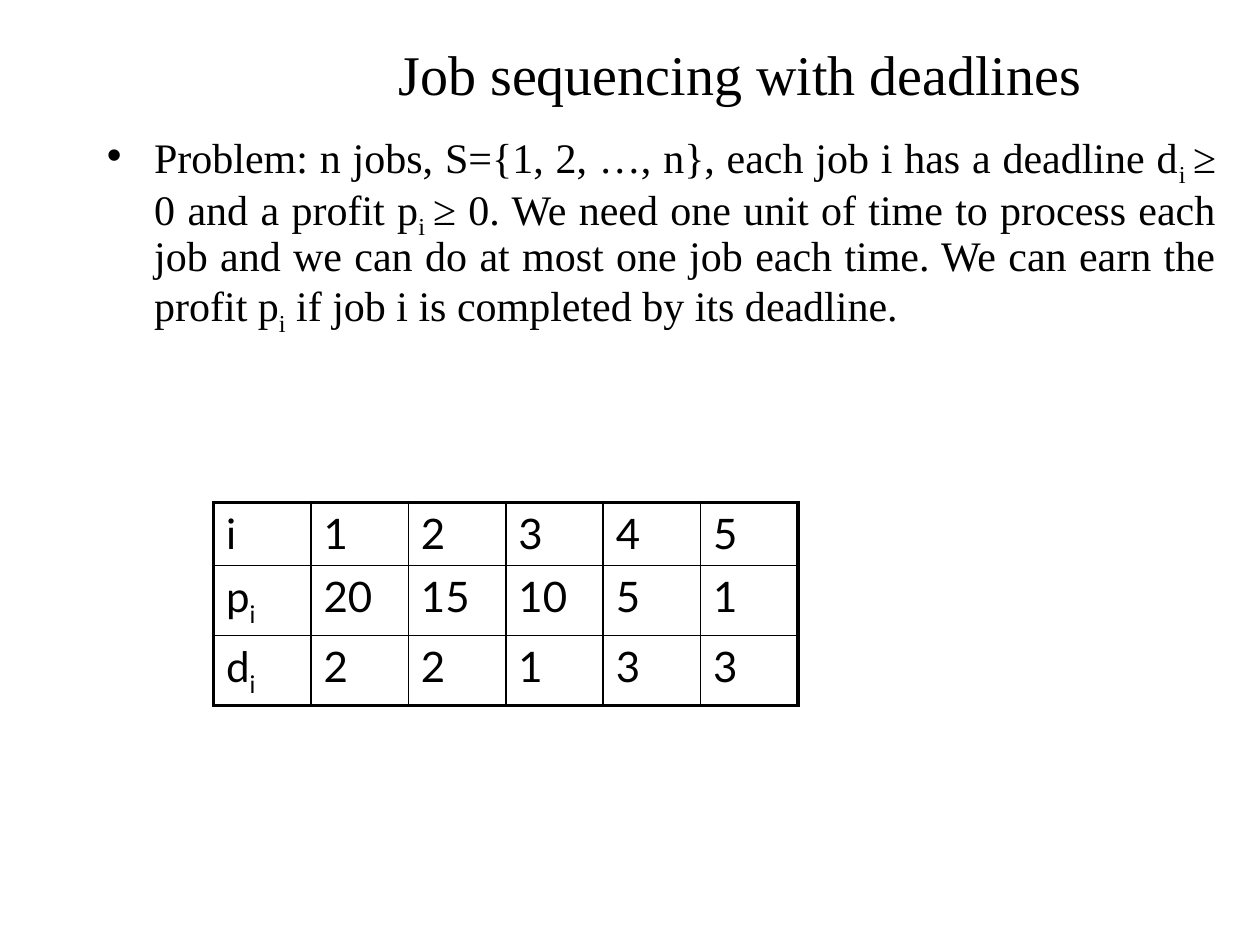
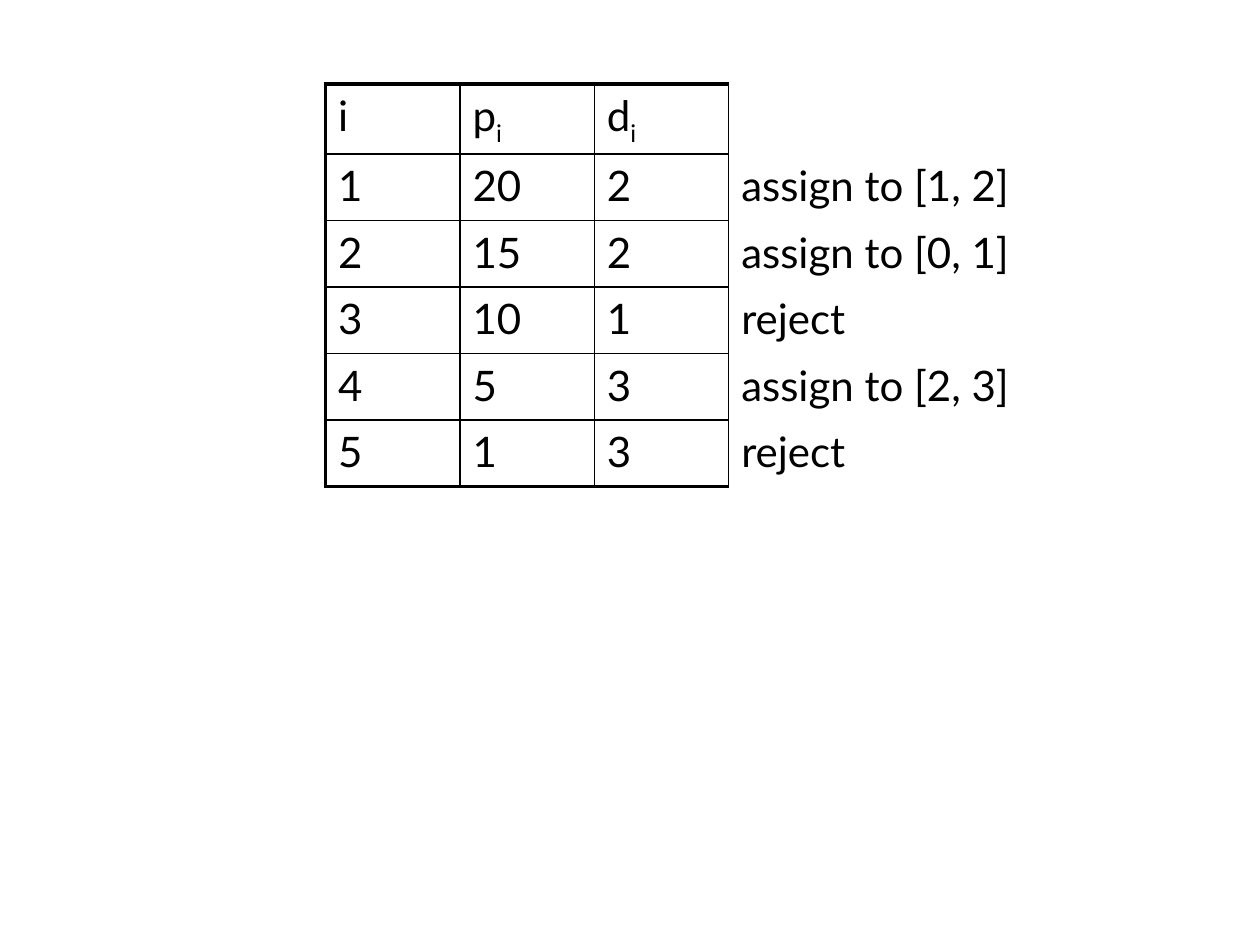
from dataclasses import dataclass

from lxml.etree import SubElement
from pptx import Presentation
from pptx.dml.color import RGBColor
from pptx.enum.text import MSO_ANCHOR as Anchor, PP_ALIGN as Align
from pptx.oxml.ns import qn
from pptx.util import Pt


@dataclass(frozen=True)
class Theme:
    ink: RGBColor = RGBColor(0, 0, 0)
    prose_font: str = "Times New Roman"
    table_font: str = "Lato"
    title_size: float = 32
    text_size: float = 24
    thin: float = 1
    thick: float = 2.25


THEME = Theme()

PROBLEM = (
    "Problem: n jobs, S={1, 2, …, n}, each job i has a deadline d|i |≥ 0 and a profit p|i |≥ 0. "
    "We need one unit of time to process each job and we can do at most one job each time. "
    "We can earn the profit p|i| if job i is completed by its deadline."
)
HEADINGS = ("i", "p|i", "d|i")
JOBS = [(1, 20, 2), (2, 15, 2), (3, 10, 1), (4, 5, 3), (5, 1, 3)]
DECISIONS = ["", "assign to [1, 2]", "assign to [0, 1]", "reject", "assign to [2, 3]", "reject"]


def write(paragraph, text, font_name, size):
    """Write text in which every second part between bars is a subscript."""
    for index, part in enumerate(text.split("|")):
        if part:
            run = paragraph.add_run()
            run.text = part
            if index % 2:
                run._r.get_or_add_rPr().set("baseline", "-25000")
    font = paragraph.font
    font.name, font.size = font_name, Pt(size)
    font.color.rgb = THEME.ink


def add_text_frame(slide, box):
    frame = slide.shapes.add_textbox(*map(Pt, box)).text_frame
    frame.word_wrap = True
    return frame


def add_title(slide, box, text):
    frame = add_text_frame(slide, box)
    frame.vertical_anchor = Anchor.MIDDLE
    paragraph = frame.paragraphs[0]
    paragraph.alignment = Align.CENTER
    write(paragraph, text, THEME.prose_font, THEME.title_size)


def add_bullet_text(slide, box, text, indent=27):
    paragraph = add_text_frame(slide, box).paragraphs[0]
    paragraph.alignment = Align.JUSTIFY
    paragraph.line_spacing = 0.9
    properties = paragraph._p.get_or_add_pPr()
    properties.set("marL", str(Pt(indent)))
    properties.set("indent", str(Pt(-indent)))
    SubElement(properties, qn("a:buFont"), typeface="Arial")
    SubElement(properties, qn("a:buChar"), char="•")
    write(paragraph, text, THEME.prose_font, THEME.text_size)


def set_borders(cell, left, right, top, bottom):
    """Draw the four borders; a width of 0 hides one."""
    properties = cell._tc.get_or_add_tcPr()
    for side, width in zip("LRTB", (left, right, top, bottom)):
        line = SubElement(properties, qn(f"a:ln{side}"), w=str(Pt(width)))
        if width:
            fill = SubElement(line, qn("a:solidFill"))
            SubElement(fill, qn("a:srgbClr"), val=str(THEME.ink))
        else:
            SubElement(line, qn("a:noFill"))


def add_job_table(slide, left, top, widths, row_height, rows, notes=False):
    """Add a framed grid; with notes, its last column stays outside the frame."""
    row_count, column_count = len(rows), len(widths)
    table = slide.shapes.add_table(
        row_count, column_count, Pt(left), Pt(top), Pt(sum(widths)), Pt(row_height * row_count)
    ).table
    table.first_row = table.horz_banding = False
    for column, width in zip(table.columns, widths):
        column.width = Pt(width)
    for row in table.rows:
        row.height = Pt(row_height)

    thin, thick = THEME.thin, THEME.thick
    for r, values in enumerate(rows):
        for c, value in enumerate(values):
            cell = table.cell(r, c)
            last_column = c == column_count - 1
            if notes and last_column:
                set_borders(cell, thin, 0, 0, 0)
            else:
                set_borders(
                    cell,
                    left=thin if c else thick,
                    right=thick if last_column else thin,
                    top=thin if r else thick,
                    bottom=thick if r == row_count - 1 else thin,
                )
            cell.fill.background()
            write(cell.text_frame.paragraphs[0], str(value), THEME.table_font, THEME.text_size)


def build_problem_slide(slide):
    add_bullet_text(slide, (54, 72, 648, 422.64), PROBLEM)
    add_title(slide, (126, 18, 594, 48), "Job sequencing with deadlines")
    rows = list(zip(HEADINGS, *JOBS))
    add_job_table(slide, 122, 287, [55.7] * 6, 30, rows)


def build_assignment_slide(slide):
    rows = [(*values, decision) for values, decision in zip([HEADINGS, *JOBS], DECISIONS)]
    add_job_table(slide, 186, 48, [76.8] * 3 + [221.5], 38, rows, notes=True)


def main():
    presentation = Presentation()
    presentation.slide_width, presentation.slide_height = Pt(720), Pt(540)
    blank_layout = presentation.slide_layouts[6]
    for build in (build_problem_slide, build_assignment_slide):
        build(presentation.slides.add_slide(blank_layout))
    presentation.save("out.pptx")


if __name__ == "__main__":
    main()
